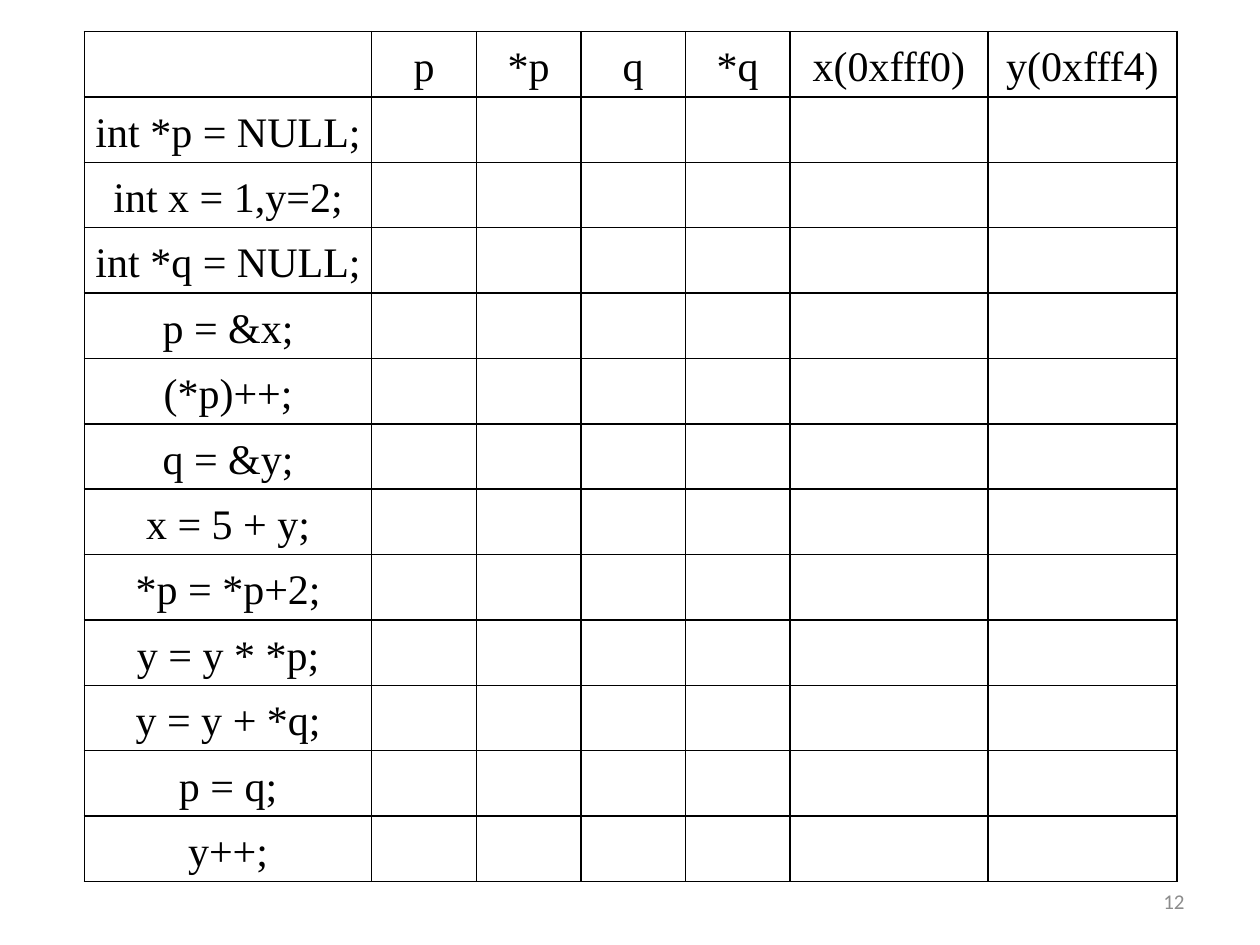
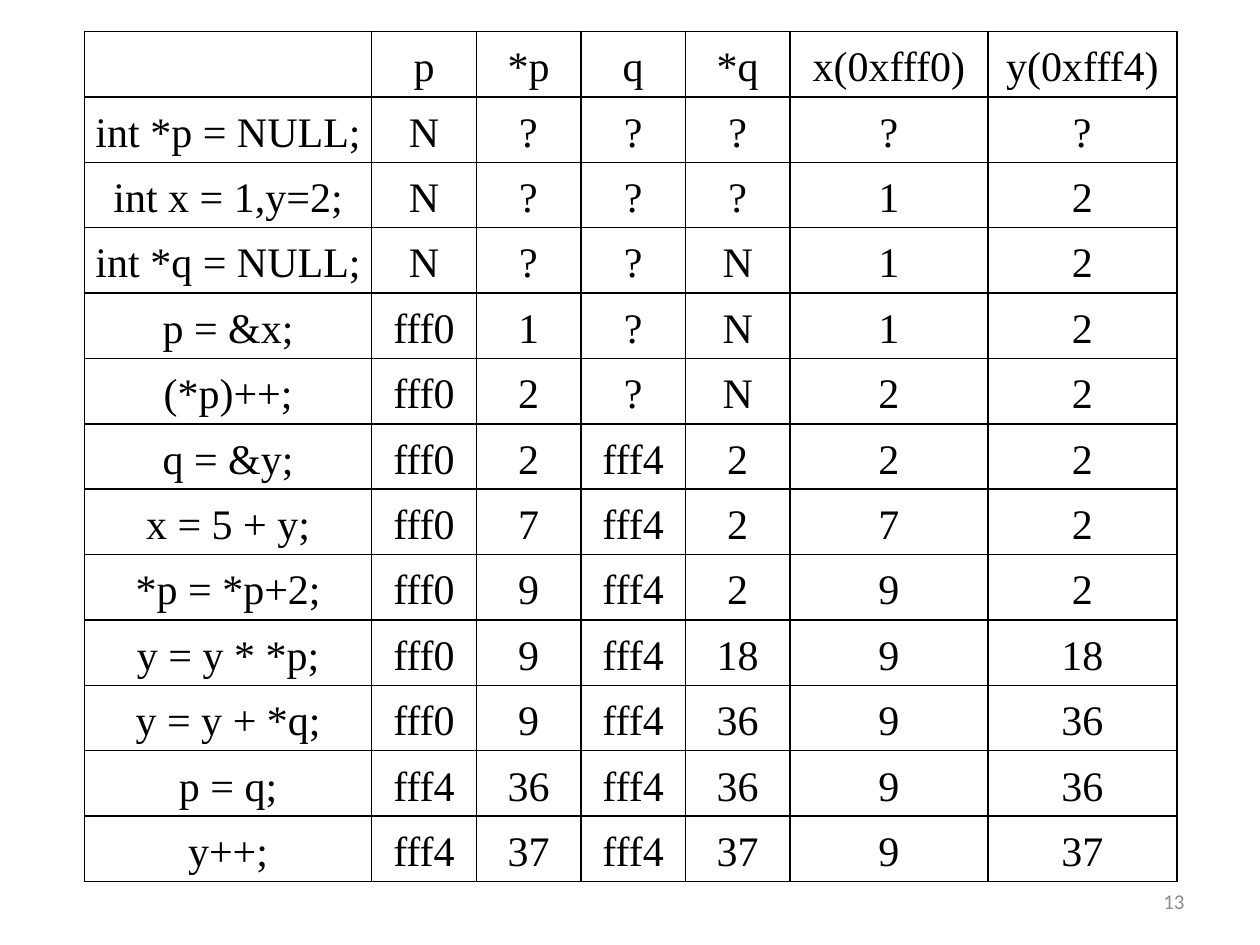
from lxml import etree
from pptx import Presentation
from pptx import util as u
from pptx.dml.color import RGBColor
from pptx.enum import text
from pptx.oxml.ns import qn

COLORS = {"ink": "000000", "page_number": "8C8C8C"}
HEADERS = ["", "p", "*p", "q", "*q", "x(0xfff0)", "y(0xfff4)"]
COLUMN_WIDTHS = [2.28, 0.83, 0.83, 0.83, 0.83, 1.57, 1.5]
TABLE_HEIGHT = 6.75
TRACE = [
    ("int *p = NULL;", "N ? ? ? ? ?"),
    ("int x = 1,y=2;", "N ? ? ? 1 2"),
    ("int *q = NULL;", "N ? ? N 1 2"),
    ("p = &x;", "fff0 1 ? N 1 2"),
    ("(*p)++;", "fff0 2 ? N 2 2"),
    ("q = &y;", "fff0 2 fff4 2 2 2"),
    ("x = 5 + y;", "fff0 7 fff4 2 7 2"),
    ("*p = *p+2;", "fff0 9 fff4 2 9 2"),
    ("y = y * *p;", "fff0 9 fff4 18 9 18"),
    ("y = y + *q;", "fff0 9 fff4 36 9 36"),
    ("p = q;", "fff4 36 fff4 36 9 36"),
    ("y++;", "fff4 37 fff4 37 9 37"),
]


def write(text_frame, content, font_name, size, color, alignment):
    text_frame.text = content
    text_frame.vertical_anchor = text.MSO_ANCHOR.MIDDLE
    paragraph = text_frame.paragraphs[0]
    paragraph.alignment = alignment
    for run in paragraph.runs:
        run.font.name = font_name
        run.font.size = u.Pt(size)
        run.font.color.rgb = RGBColor.from_string(COLORS[color])
    return paragraph


def add_borders(cell):
    properties = cell._tc.get_or_add_tcPr()
    for side in ("lnL", "lnR", "lnT", "lnB"):
        line = etree.SubElement(properties, qn(f"a:{side}"), w=str(u.Pt(1)))
        fill = etree.SubElement(line, qn("a:solidFill"))
        etree.SubElement(fill, qn("a:srgbClr"), val=COLORS["ink"])


presentation = Presentation()
presentation.slide_width = u.Inches(10)
presentation.slide_height = u.Inches(7.5)
blank_layout = presentation.slide_layouts[6]

# The exercise comes first with empty values, then the same table solved.
for page_number, solved in ((12, False), (13, True)):
    slide = presentation.slides.add_slide(blank_layout)

    number_box = slide.shapes.add_textbox(
        u.Inches(7.17), u.Inches(6.95), u.Inches(2.33), u.Inches(0.4))
    number_box.text_frame.word_wrap = True
    write(number_box.text_frame, str(page_number), "Calibri", 12,
          "page_number", text.PP_ALIGN.RIGHT)

    rows = [HEADERS]
    for statement, values in TRACE:
        rows.append([statement] + (values.split() if solved else [""] * 6))

    table = slide.shapes.add_table(
        len(rows), len(HEADERS), u.Inches(0.67), u.Inches(0.25),
        u.Inches(sum(COLUMN_WIDTHS)), u.Inches(TABLE_HEIGHT)).table
    table.first_row = False
    table.horz_banding = False
    for column, width in zip(table.columns, COLUMN_WIDTHS):
        column.width = u.Inches(width)

    for table_row, row_values in zip(table.rows, rows):
        table_row.height = u.Inches(TABLE_HEIGHT / len(rows))
        for cell, value in zip(table_row.cells, row_values):
            add_borders(cell)
            cell.fill.background()
            cell.margin_left = cell.margin_right = u.Inches(0.07)
            cell.margin_top = cell.margin_bottom = 0
            cell.vertical_anchor = text.MSO_ANCHOR.MIDDLE
            paragraph = write(cell.text_frame, value, "Times New Roman", 24,
                              "ink", text.PP_ALIGN.CENTER)
            paragraph.line_spacing = 1.15

presentation.save("out.pptx")
